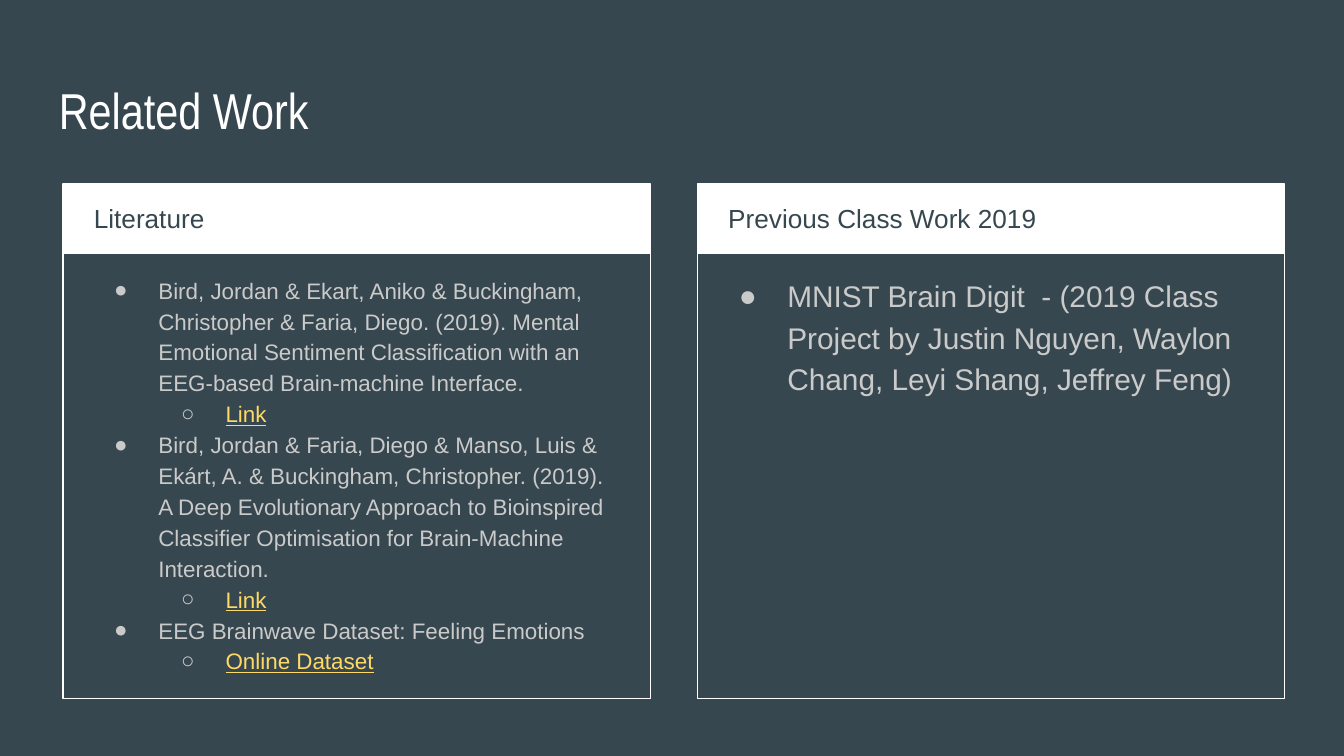
from lxml import etree
from pptx import Presentation
from pptx.dml.color import RGBColor
from pptx.enum.shapes import MSO_SHAPE
from pptx.enum.text import MSO_ANCHOR
from pptx.oxml.ns import qn
from pptx.util import Inches, Pt

RECTANGLE = MSO_SHAPE.RECTANGLE
TOP = MSO_ANCHOR.TOP
SLATE, WHITE, GREY, YELLOW = "37474F", "FFFFFF", "CACACA", "FFD966"


def color(value):
    return RGBColor.from_string(value)


def add_text(page, place, entries, size, ink, font="Arial", spacing=1.15,
             hanging=None):
    box = page.shapes.add_textbox(*[Inches(length) for length in place])
    frame = box.text_frame
    frame.word_wrap = True
    frame.vertical_anchor = TOP
    frame.margin_left = frame.margin_right = Inches(0.1)
    frame.margin_top = frame.margin_bottom = Inches(0.1)
    for index, (level, text) in enumerate(entries):
        para = frame.paragraphs[0] if index == 0 else frame.add_paragraph()
        para.line_spacing = spacing
        para.level = level
        span = para.add_run()
        span.text = text
        span.font.name = font
        span.font.size = Pt(size)
        span.font.color.rgb = color(YELLOW if level else ink)
        if level:
            span.font.underline = True
        if hanging:
            props = para._p.get_or_add_pPr()
            props.set("marL", str(Inches(0.5 * (level + 1))))
            props.set("indent", str(-Inches(hanging)))
            tint = etree.SubElement(props, qn("a:buClr"))
            etree.SubElement(tint, qn("a:srgbClr"), val=ink)
            etree.SubElement(props, qn("a:buFont"), typeface=font)
            etree.SubElement(props, qn("a:buChar"), char="○" if level else "●")


deck = Presentation()
deck.slide_width = Inches(10)
deck.slide_height = Inches(10) * 9 // 16
page = deck.slides.add_slide(deck.slide_layouts[6])
page.background.fill.solid()
page.background.fill.fore_color.rgb = color(SLATE)

add_text(page, (0.34, 0.49, 9.32, 0.63), [(0, "Related Work")], 27, WHITE,
         font="Arial Narrow", spacing=1.0)

literature = [
    (0, "Bird, Jordan & Ekart, Aniko & Buckingham, Christopher & Faria, Diego. "
        "(2019). Mental Emotional Sentiment Classification with an EEG-based "
        "Brain-machine Interface. "),
    (1, "Link"),
    (0, "Bird, Jordan & Faria, Diego & Manso, Luis & Ekárt, A. & Buckingham, "
        "Christopher. (2019). A Deep Evolutionary Approach to Bioinspired "
        "Classifier Optimisation for Brain-Machine Interaction. "),
    (1, "Link"),
    (0, "EEG Brainwave Dataset: Feeling Emotions"),
    (1, "Online Dataset"),
]
class_work = [
    (0, "MNIST Brain Digit  - (2019 Class Project by Justin Nguyen, "
        "Waylon Chang, Leyi Shang, Jeffrey Feng)"),
]
cards = [
    (0.47, "Literature", literature, 0.58, 3.06, 12, 0.33),
    (5.19, "Previous Class Work 2019", class_work, 5.26, 3.27, 16, 0.36),
]
for left, heading, entries, body_left, body_height, size, hanging in cards:
    band = page.shapes.add_shape(RECTANGLE, Inches(left), Inches(1.37),
                                 Inches(4.37), Inches(0.52))
    band.shadow.inherit = False
    band.fill.solid()
    band.fill.fore_color.rgb = color(WHITE)
    band.line.fill.background()
    border = page.shapes.add_shape(RECTANGLE, Inches(left), Inches(1.37),
                                   Inches(4.37), Inches(3.83))
    border.shadow.inherit = False
    border.fill.background()
    border.line.color.rgb = color(WHITE)
    border.line.width = Pt(0.75)
    add_text(page, (left + 0.13, 1.37, 4.15, 0.49), [(0, heading)], 14, SLATE)
    add_text(page, (body_left, 1.93, 4.15, body_height), entries, size, GREY,
             hanging=hanging)

deck.save("out.pptx")
